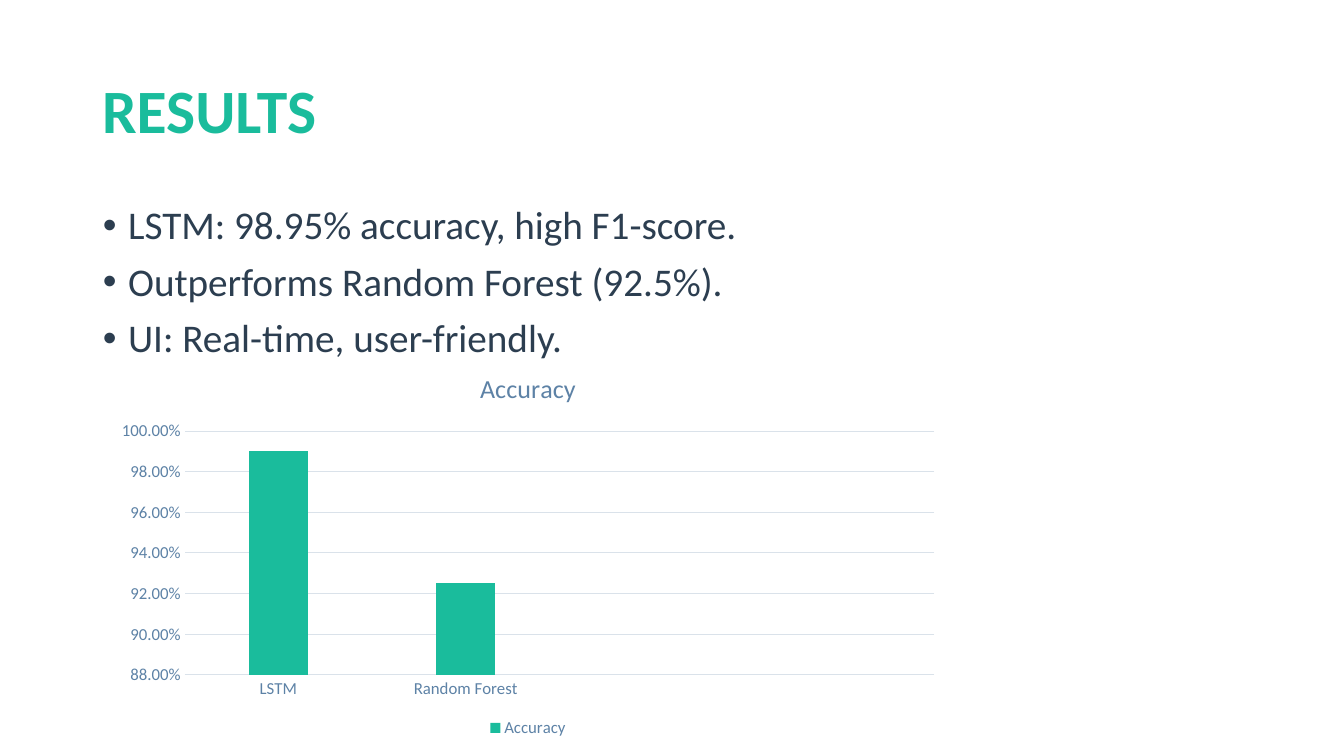
from lxml import etree
from pptx import Presentation
from pptx.chart.data import CategoryChartData
from pptx.dml.color import RGBColor
from pptx.enum.chart import XL_CHART_TYPE, XL_LEGEND_POSITION, XL_TICK_MARK
from pptx.enum.text import MSO_ANCHOR, PP_ALIGN
from pptx.oxml.ns import qn
from pptx.util import Pt

COLUMN = XL_CHART_TYPE.COLUMN_CLUSTERED
BOTTOM = XL_LEGEND_POSITION.BOTTOM
NO_TICK = XL_TICK_MARK.NONE
MIDDLE = MSO_ANCHOR.MIDDLE
LEFT = PP_ALIGN.LEFT

FACE = "Calibri"
GREEN = "1ABC9C"
NAVY = "2C3E50"
STEEL = "5D82A6"
PALE = "DAE2EA"

POINTS = [
    "LSTM: 98.95% accuracy, high F1-score.",
    "Outperforms Random Forest (92.5%).",
    "UI: Real-time, user-friendly.",
]
CATS = ["LSTM", "Random Forest", "", ""]
VALUES = [0.99, 0.925, None, None]


def px(count):
    return round(count * 914400 / 100.8)


def color(code):
    return RGBColor.from_string(code)


def style(font, size, code, bold=False):
    font.name = FACE
    font.size = Pt(size)
    font.bold = bold
    font.color.rgb = color(code)


def rule(line):
    line.color.rgb = color(PALE)
    line.width = Pt(0.75)


def add_title(slide, box):
    title = slide.shapes.title
    title.left, title.top, title.width, title.height = map(px, box)
    frame = title.text_frame
    frame.text = "RESULTS"
    frame.vertical_anchor = MIDDLE
    para = frame.paragraphs[0]
    para.alignment = LEFT
    para.line_spacing = 0.9
    style(para.font, 44, GREEN, True)


def add_points(slide, box):
    frame = slide.shapes.add_textbox(*map(px, box)).text_frame
    frame.word_wrap = True
    frame.text = "\n".join(POINTS)
    for para in frame.paragraphs:
        para.line_spacing = 0.9
        para.space_before = Pt(10)
        style(para.font, 28, NAVY)
        props = para._p.get_or_add_pPr()
        props.set("marL", str(Pt(18)))
        props.set("indent", str(-Pt(18)))
        font = etree.Element(qn("a:buFont"), typeface="Arial")
        mark = etree.Element(qn("a:buChar"), char="•")
        spot = props.index(props.find(qn("a:defRPr")))
        props[spot:spot] = [font, mark]


def add_bars(slide, box):
    data = CategoryChartData(number_format="0.00%")
    data.categories = CATS
    data.add_series("Accuracy", VALUES)
    chart = slide.shapes.add_chart(COLUMN, *map(px, box), data).chart
    style(chart.font, 10, NAVY)

    chart.has_title = True
    chart.chart_title.include_in_layout = False
    frame = chart.chart_title.text_frame
    frame.text = "Accuracy"
    style(frame.paragraphs[0].font, 18.6, STEEL)

    chart.has_legend = True
    chart.legend.position = BOTTOM
    chart.legend.include_in_layout = False
    style(chart.legend.font, 12, STEEL)

    for axis in (chart.category_axis, chart.value_axis):
        axis.major_tick_mark = NO_TICK
        axis.minor_tick_mark = NO_TICK
        style(axis.tick_labels.font, 12, STEEL)
    rule(chart.category_axis.format.line)

    scale = chart.value_axis
    scale.minimum_scale = 0.88
    scale.maximum_scale = 1
    scale.major_unit = 0.02
    scale.tick_labels.number_format = "0.00%"
    scale.tick_labels.number_format_is_linked = False
    scale.format.line.fill.background()
    rule(scale.major_gridlines.format.line)

    plot = chart.plots[0]
    plot.vary_by_categories = False
    plot.gap_width = 219
    plot.overlap = -27
    bars = plot.series[0]
    bars.invert_if_negative = False
    bars.format.fill.solid()
    bars.format.fill.fore_color.rgb = color(GREEN)


def main():
    deck = Presentation()
    deck.slide_width = px(1344)
    deck.slide_height = px(756)
    slide = deck.slides.add_slide(deck.slide_layouts[5])
    add_title(slide, (92, 41, 1159, 146))
    add_points(slide, (93, 201, 1159, 480))
    add_bars(slide, (105, 352, 846, 390))
    deck.save("out.pptx")


if __name__ == "__main__":
    main()
